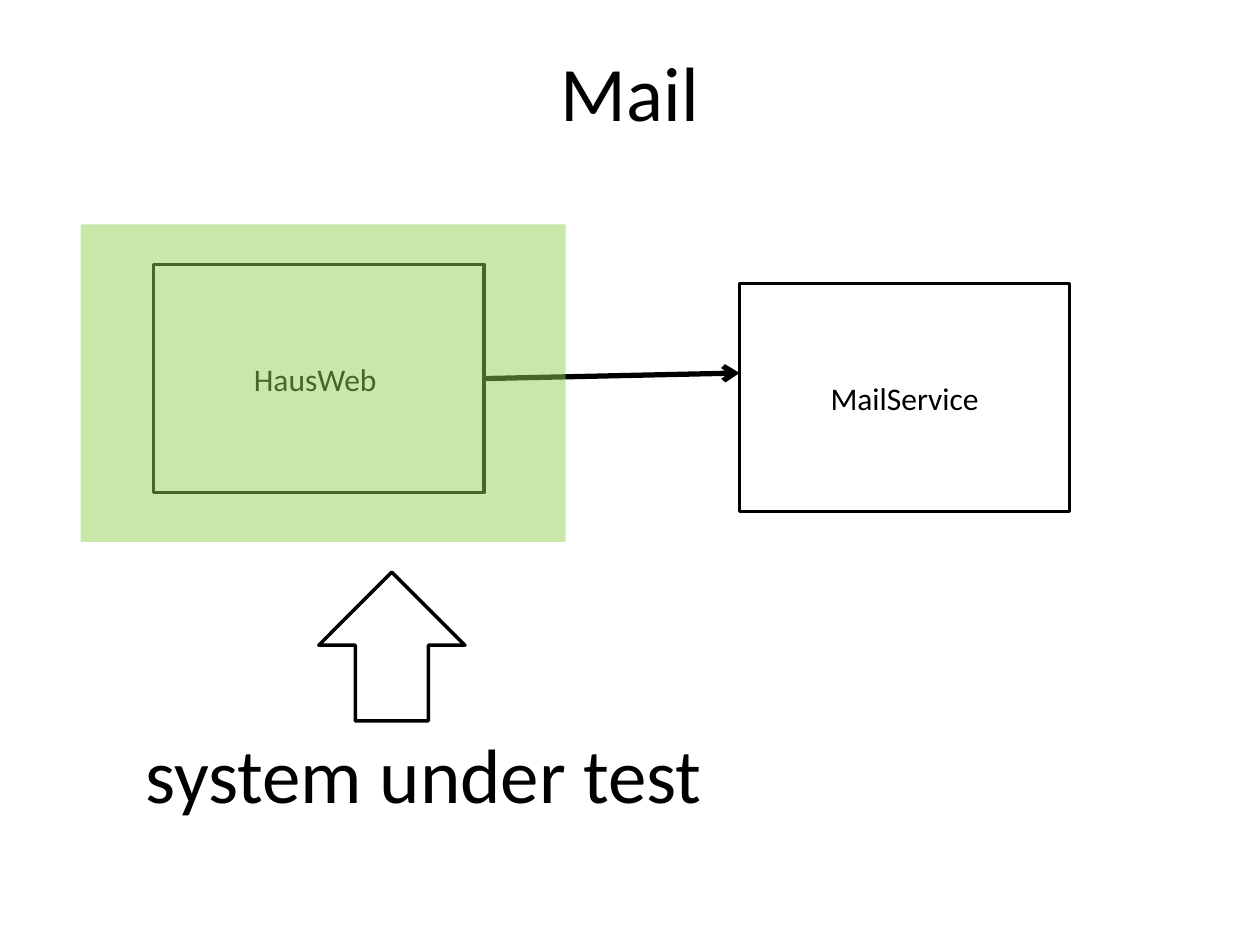
from lxml.etree import SubElement
from pptx import Presentation
from pptx.dml.color import RGBColor
from pptx.enum.shapes import MSO_CONNECTOR, MSO_SHAPE
from pptx.enum.text import MSO_ANCHOR, PP_ALIGN
from pptx.oxml.ns import qn
from pptx.util import Inches, Pt

SLIDE_W, SLIDE_H = Inches(10), Inches(7.5)
BLACK, WHITE, GREEN = "000000", "FFFFFF", "92D050"


def color(hex_value):
    return RGBColor.from_string(hex_value)


def px(share):
    """Percent of the slide width."""
    return round(SLIDE_W * share / 100)


def py(share):
    """Percent of the slide height."""
    return round(SLIDE_H * share / 100)


def place(x, y, w, h):
    return px(x), py(y), px(w), py(h)


def write(tf, text, size, anchor=MSO_ANCHOR.TOP):
    tf.word_wrap = True
    tf.vertical_anchor = anchor
    p = tf.paragraphs[0]
    p.alignment = PP_ALIGN.CENTER
    r = p.add_run()
    r.text = text
    r.font.name = "Calibri"
    r.font.size = Pt(size)
    r.font.color.rgb = color(BLACK)


def add_shape(s, kind, box, fill=None, line=None):
    sp = s.shapes.add_shape(kind, *place(*box))
    sp.shadow.inherit = False
    if fill:
        sp.fill.solid()
        sp.fill.fore_color.rgb = color(fill)
    else:
        sp.fill.background()
    if line:
        sp.line.color.rgb = color(line)
        sp.line.width = Pt(2)
        SubElement(sp.line._get_or_add_ln(), qn("a:round"))
    else:
        sp.line.fill.background()
    return sp


def add_title(s, box):
    title = s.shapes.title
    title.left, title.top, title.width, title.height = place(*box)
    write(title.text_frame, "Mail", 44)


def add_diagram(s, x, y, w, h):
    """Two components, the call between them and the highlighted area."""
    nodes = []
    for text, dx, dy in (("HausWeb ", 5.8, 4.27), ("MailService", 52.3, 6.27)):
        node = add_shape(s, MSO_SHAPE.RECTANGLE,
                         (x + dx, y + dy, 26.2, 24.13), WHITE, BLACK)
        write(node.text_frame, text, 18, MSO_ANCHOR.MIDDLE)
        nodes.append(node)
    web, mail = nodes

    # Call arrow, ending a little above the middle of the mail service
    call = s.shapes.add_connector(MSO_CONNECTOR.STRAIGHT, web.left, web.top,
                                  mail.left, py(y + 15.74))
    call.begin_connect(web, 3)
    call.line.color.rgb = color(BLACK)
    call.line.width = Pt(3)
    SubElement(call.line._get_or_add_ln(), qn("a:tailEnd"), type="arrow")
    SubElement(call._element.spPr, qn("a:effectLst"))

    # Translucent area over the tested system
    area = add_shape(s, MSO_SHAPE.RECTANGLE, (x, y, w, h), GREEN)
    rgb = area._element.spPr.find(".//" + qn("a:srgbClr"))
    SubElement(rgb, qn("a:alpha"), val="49000")


def add_caption(s, x, y, w, h):
    """Upward arrow with its label below."""
    arrow = add_shape(s, MSO_SHAPE.RIGHT_ARROW,
                      (x + 16.6, y, 11.8, 15.47), line=BLACK)
    arrow.rotation = 270
    label = s.shapes.add_textbox(*place(x, y + 15.6, w, h - 15.6))
    write(label.text_frame, "system under test", 44)


def main():
    prs = Presentation()
    prs.slide_width, prs.slide_height = SLIDE_W, SLIDE_H
    s = prs.slides.add_slide(prs.slide_layouts[5])
    add_title(s, (5, 4, 90, 16.67))
    add_diagram(s, 6.4, 23.73, 38.5, 33.6)
    add_caption(s, 8.6, 60.67, 50.1, 32.27)
    prs.save("out.pptx")


if __name__ == "__main__":
    main()
